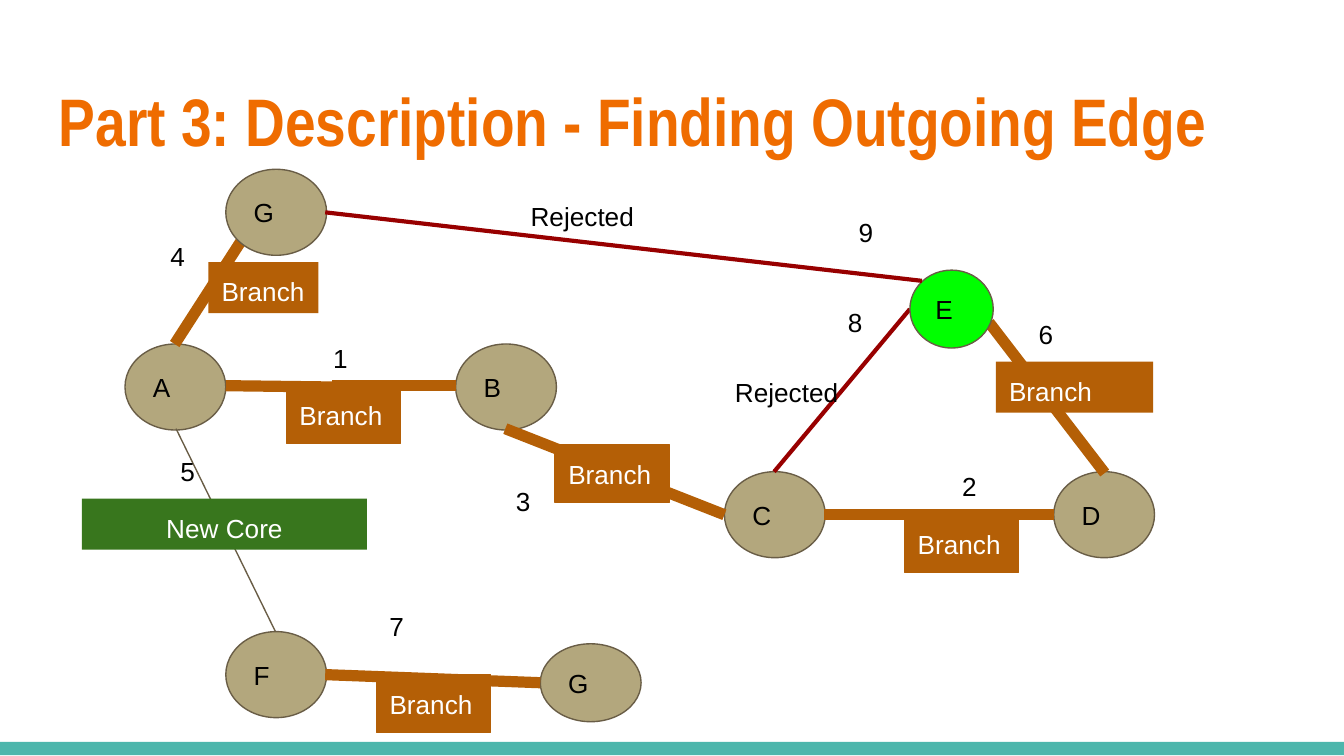
from lxml import etree
from pptx import Presentation
from pptx.dml.color import RGBColor
from pptx.enum import shapes, text
from pptx.oxml.ns import qn
from pptx.util import Inches, Pt

BROWN, RED, TAN, OUTLINE = "B45F06", "980000", "B3A77D", "695D46"
BLACK, WHITE = "000000", "FFFFFF"

CORE_NODES = [("A", 0.93, 2.56), ("B", 3.39, 2.56), ("C", 5.39, 3.51), ("D", 7.84, 3.51)]
OUTER_NODES = [
    ("E", 6.77, 2.01, 0.62, 0.58, "00FF00"),
    ("F", 1.68, 4.7),
    ("G", 1.68, 1.26),
    ("G", 4.02, 4.79, 0.75, 0.58),
]
CORE_EDGES = [
    (1.3, 2.56, 1.79, 1.8, BROWN, 6),
    (1.31, 3.19, 2.05, 4.7, OUTLINE, 0.75),
    (1.68, 2.87, 2.5, 2.88, BROWN, 6),
    (3.39, 2.87, 2.47, 2.87, BROWN, 6),
    (5.39, 3.83, 3.76, 3.19, BROWN, 6),
    (5.76, 3.51, 6.77, 2.3, RED, 2.25),
    (6.13, 3.83, 6.96, 3.83, BROWN, 6),
    (7.84, 3.83, 6.92, 3.83, BROWN, 6),
    (8.22, 3.52, 7.36, 2.4, BROWN, 6),
]
OUTER_EDGES = [
    (6.86, 2.09, 2.42, 1.58, RED, 2.25),
    (4.02, 5.08, 2.42, 5.02, BROWN, 6),
]
PLAIN_BRANCHES = [(7.41, 2.69, 1.17, 0.38), (1.55, 1.95, 0.82, 0.38)]
OUTLINED_BRANCHES = [(2.13, 2.87), (6.73, 3.83), (2.8, 5.02), (4.13, 3.31)]
NOTES = [
    ("4", 1.17, 1.69, 0.47, 0.38),
    ("5", 1.25, 3.29, 0.19, 0.38),
    ("8", 6.21, 2.18, 0.47, 0.38),
    ("6", 7.63, 2.27, 0.32, 0.34),
    ("9", 6.29, 1.51, 0.32, 0.24),
    ("1", 2.38, 2.45, 0.42, 0.34),
    ("2", 7.06, 3.4, 0.42, 0.24),
    ("3", 3.74, 3.51, 1.3, 0.77),
    ("7", 2.8, 4.44, 1.17, 0.34),
    ("Rejected", 3.85, 1.39, 1.46, 0.38),
    ("Rejected", 5.37, 2.7, 1.46, 0.38),
]


def color(value):
    """Turn a hex string into a colour."""
    return RGBColor.from_string(value)


def write(shape, words, ink=BLACK, size=14, font="Arial", bold=False,
          align=text.PP_ALIGN.LEFT, anchor=text.MSO_ANCHOR.TOP):
    """Put one formatted line of text into a shape."""
    frame = shape.text_frame
    frame.text = words
    frame.word_wrap = True
    frame.vertical_anchor = anchor
    frame.margin_left = frame.margin_right = Inches(0.1)
    frame.margin_top = frame.margin_bottom = Inches(0.1)
    para = frame.paragraphs[0]
    para.alignment = align
    span = para.runs[0].font
    span.name, span.size, span.bold = font, Pt(size), bold
    span.color.rgb = color(ink)


def add_block(page, kind, left, top, width, height, fill, line=None):
    """Add a filled preset shape with an optional thin outline."""
    block = page.shapes.add_shape(
        kind, Inches(left), Inches(top), Inches(width), Inches(height))
    block.shadow.inherit = False
    block.fill.solid()
    block.fill.fore_color.rgb = color(fill)
    if line:
        block.line.color.rgb = color(line)
        block.line.width = Pt(0.75)
    else:
        block.line.fill.background()
    return block


def add_node(page, name, left, top, width=0.75, height=0.64, fill=TAN):
    """Add a named graph node."""
    node = add_block(page, shapes.MSO_SHAPE.OVAL, left, top, width, height, fill, OUTLINE)
    write(node, name, anchor=text.MSO_ANCHOR.MIDDLE)


def add_edge(page, x1, y1, x2, y2, ink, weight):
    """Add a straight graph edge."""
    edge = page.shapes.add_connector(
        shapes.MSO_CONNECTOR.STRAIGHT, Inches(x1), Inches(y1), Inches(x2), Inches(y2))
    edge.line.color.rgb = color(ink)
    edge.line.width = Pt(weight)
    etree.SubElement(edge.element.spPr, qn("a:effectLst"))


def add_tag(page, words, left, top, width=0.85, height=0.43, fill=BROWN, line=None,
            align=text.PP_ALIGN.LEFT):
    """Add a coloured edge tag."""
    tag = add_block(page, shapes.MSO_SHAPE.RECTANGLE, left, top, width, height, fill, line)
    write(tag, words, WHITE, align=align)


def add_note(page, words, left, top, width, height, **style):
    """Add free-standing text."""
    box = page.shapes.add_textbox(Inches(left), Inches(top), Inches(width), Inches(height))
    write(box, words, **style)


def main():
    """Build the graph slide and save it."""
    deck = Presentation()
    deck.slide_width = Inches(10)
    deck.slide_height = deck.slide_width * 9 // 16
    page = deck.slides.add_slide(deck.slide_layouts[6])

    add_block(page, shapes.MSO_SHAPE.RECTANGLE, 0, 5.52, 10, 0.1, "4DB6AC")
    add_note(page, "Part 3: Description - Finding Outgoing Edge", 0.34, 0.49, 9.32, 0.77,
             ink="EF6C00", size=36, font="Arial Narrow", bold=True)
    for nodes, edges in ((CORE_NODES, CORE_EDGES), (OUTER_NODES, OUTER_EDGES)):
        for node in nodes:
            add_node(page, *node)
        for edge in edges:
            add_edge(page, *edge)
    for place in PLAIN_BRANCHES:
        add_tag(page, "Branch", *place)
    for place in OUTLINED_BRANCHES:
        add_tag(page, "Branch", *place, line=BROWN)
    add_tag(page, "New Core", 0.61, 3.71, 2.12, 0.38, "38761D", align=text.PP_ALIGN.CENTER)
    for note in NOTES:
        add_note(page, *note)

    deck.save("out.pptx")


if __name__ == "__main__":
    main()
